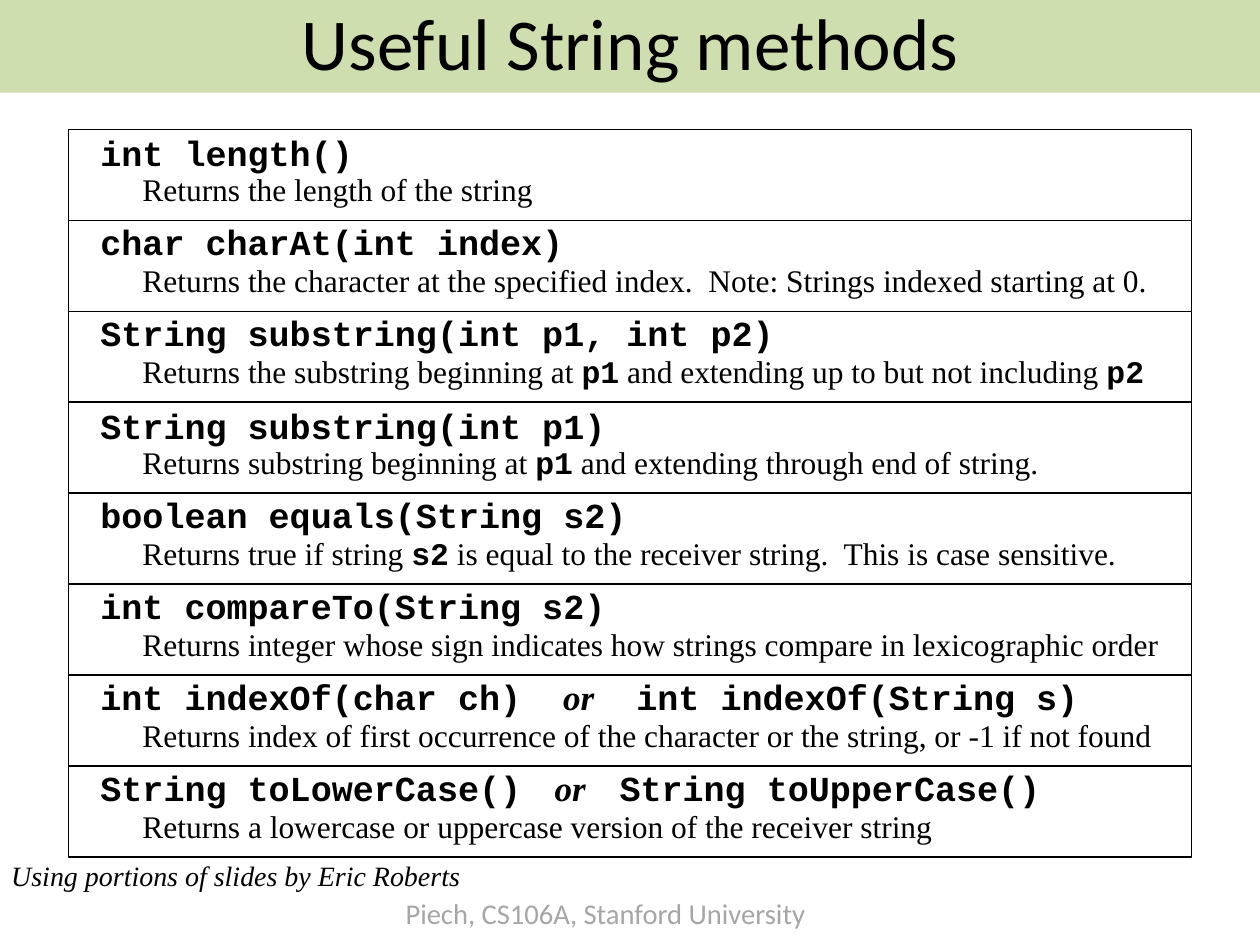
"""Build a slide that lists useful String methods in ruled rows."""
from dataclasses import dataclass

from lxml.etree import SubElement as Sub
from pptx import Presentation
from pptx.dml.color import RGBColor as Rgb
from pptx.enum.shapes import MSO_SHAPE as Form
from pptx.enum.text import MSO_ANCHOR as Anchor, MSO_AUTO_SIZE as Fit, PP_ALIGN as Align
from pptx.oxml.ns import qn
from pptx.util import Pt


@dataclass(frozen=True)
class Face:
    font: str
    size: float
    bold: bool = False
    slant: bool = False
    color: str = "000000"


@dataclass(frozen=True)
class Theme:
    paper: str = "FFFFFF"
    ink: str = "000000"
    band: str = "C3D69B"
    lead: float = 0.93
    title: Face = Face("Calibri", 46)
    sig: Face = Face("Courier New", 22.1, bold=True)
    alt: Face = Face("Times New Roman", 22.1, bold=True, slant=True)
    gap: Face = Face("Courier New", 17.6)
    text: Face = Face("Times New Roman", 19.8)
    code: Face = Face("Courier New", 19.8, bold=True)
    credit: Face = Face("Times New Roman", 17.6, slant=True)
    foot: Face = Face("Calibri", 18, color="A6A6A6")


class Deck:
    def __init__(self, theme, wide, high):
        self.theme = theme
        self.show = Presentation()
        self.show.slide_width, self.show.slide_height = Pt(wide), Pt(high)
        self.slide = self.show.slides.add_slide(self.show.slide_layouts[5])

    def style(self, run, kind):
        face, font = getattr(self.theme, kind), run.font
        font.name, font.size = face.font, Pt(face.size)
        font.bold, font.italic = face.bold, face.slant
        font.color.rgb = Rgb.from_string(face.color)

    def title(self, text, wide, high):
        head = self.slide.shapes.title
        head.left, head.top, head.width, head.height = 0, 0, Pt(wide), Pt(high)
        head.fill.solid()
        head.fill.fore_color.rgb = Rgb.from_string(self.theme.band)
        tint = head.fill._xPr.find(".//" + qn("a:srgbClr"))
        Sub(tint, qn("a:alpha"), val="80000")
        frame = head.text_frame
        frame.text = text
        frame.auto_size, frame.vertical_anchor = Fit.NONE, Anchor.MIDDLE
        line = frame.paragraphs[0]
        line.alignment, line.line_spacing = Align.CENTER, self.theme.lead
        self.style(line.runs[0], "title")

    def label(self, home, parts, left, top, wide, high, wrap=True):
        frame = home.add_textbox(Pt(left), Pt(top), Pt(wide), Pt(high)).text_frame
        frame.word_wrap, frame.auto_size = wrap, Fit.SHAPE_TO_FIT_TEXT
        line = frame.paragraphs[0]
        line.line_spacing = self.theme.lead
        for kind, text in parts:
            run = line.add_run()
            run.text = text
            self.style(run, kind)

    def row(self, sig, note, left, top, wide, high, lift):
        home = self.slide.shapes.add_group_shape().shapes
        cell = home.add_shape(Form.RECTANGLE, Pt(left), Pt(top), Pt(wide), Pt(high))
        cell.shadow.inherit = False
        cell.fill.solid()
        cell.fill.fore_color.rgb = Rgb.from_string(self.theme.paper)
        cell.line.color.rgb = Rgb.from_string(self.theme.ink)
        cell.line.width = Pt(0.75)
        self.label(home, sig, left + 13, top - lift, 681, 32.4)
        self.label(home, note, left + 39.5, top + 24.4, 662, 29.9)


ROWS = [
    ([("sig", "int length()")],
     [("text", "Returns the length of the string")]),
    ([("sig", "char charAt(int index)")],
     [("text", "Returns the character at the specified index.  "
               "Note: Strings indexed starting at 0.")]),
    ([("sig", "String substring(int p1, int p2)")],
     [("text", "Returns the substring beginning at "), ("code", "p1"),
      ("text", " and extending up to but not including "), ("code", "p2")]),
    ([("sig", "String substring(int p1)")],
     [("text", "Returns substring beginning at "), ("code", "p1"),
      ("text", " and extending through end of string.")]),
    ([("sig", "boolean equals(String s2)")],
     [("text", "Returns true if string "), ("code", "s2"),
      ("text", " is equal to the receiver string.  This is case sensitive.")]),
    ([("sig", "int compareTo(String s2)")],
     [("text", "Returns integer whose sign indicates how strings "
               "compare in lexicographic order")]),
    ([("sig", "int indexOf(char ch)  "), ("alt", "or"),
      ("sig", "  int indexOf(String s)")],
     [("text", "Returns index of first occurrence of the character "
               "or the string, or -1 if not found")]),
    ([("sig", "String toLowerCase()"), ("gap", "  "), ("alt", "or"),
      ("gap", "  "), ("sig", "String toUpperCase()")],
     [("text", "Returns a lowercase or uppercase version of the receiver string")]),
]
WIDE, HIGH = 793.75, 595.25
LEFT, TOP, STEP = 43.2, 81.4, 57.3
FLUSH = (0, 3)


def main():
    deck = Deck(Theme(), WIDE, HIGH)
    shapes = deck.slide.shapes
    deck.label(shapes, [("foot", "Piech, CS106A, Stanford University")],
               248.4, 563, 269.3, 27.4, wrap=False)
    for num, (sig, note) in enumerate(ROWS):
        lift = 0 if num in FLUSH else 1.2
        deck.row(sig, note, LEFT, TOP + num * STEP, 707.5, STEP, lift)
    deck.label(shapes, [("credit", "Using portions of slides by Eric Roberts")],
               0, 539.3, 429.8, 27.4)
    deck.title("Useful String methods", WIDE, 58.3)
    deck.show.save("out.pptx")


if __name__ == "__main__":
    main()
